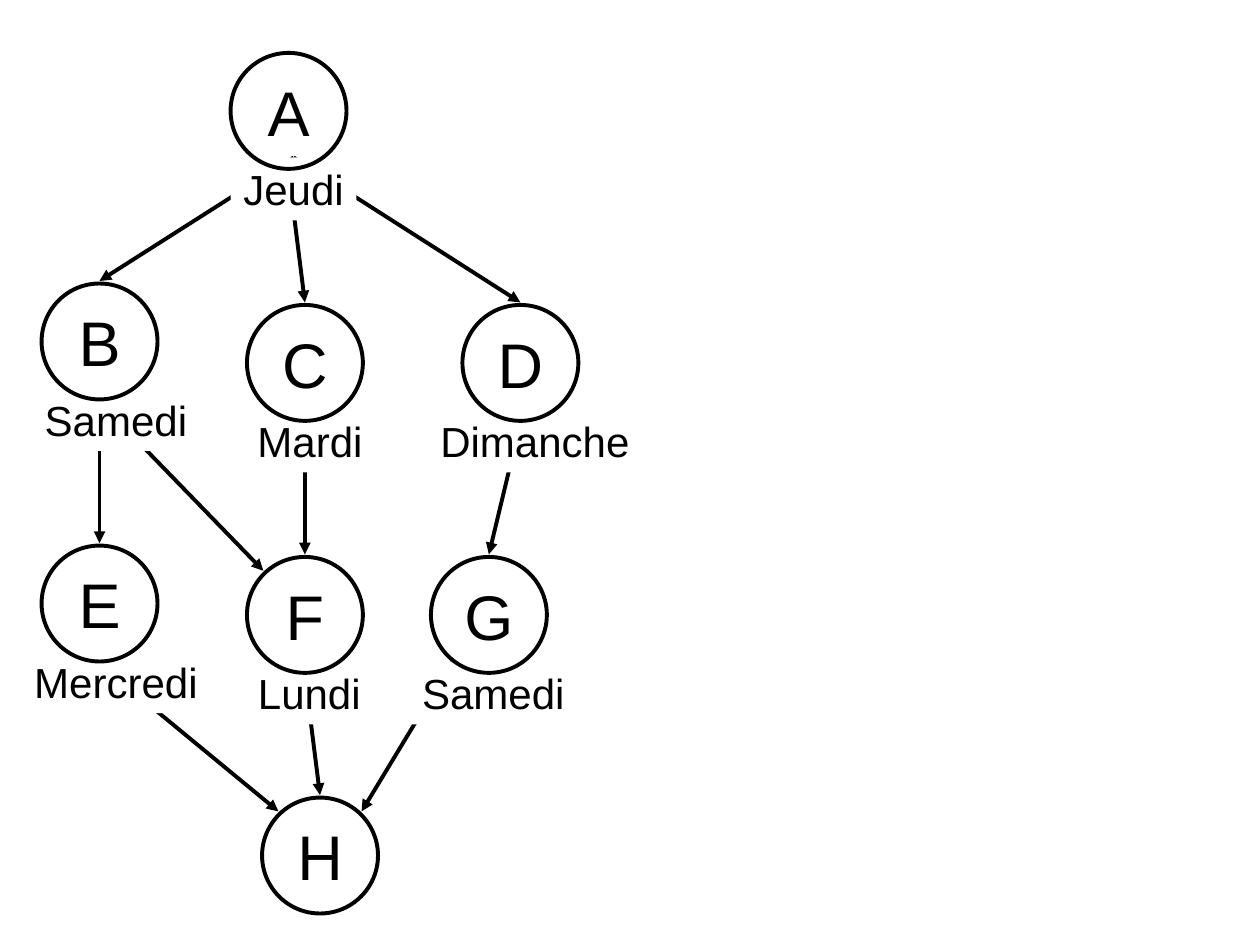
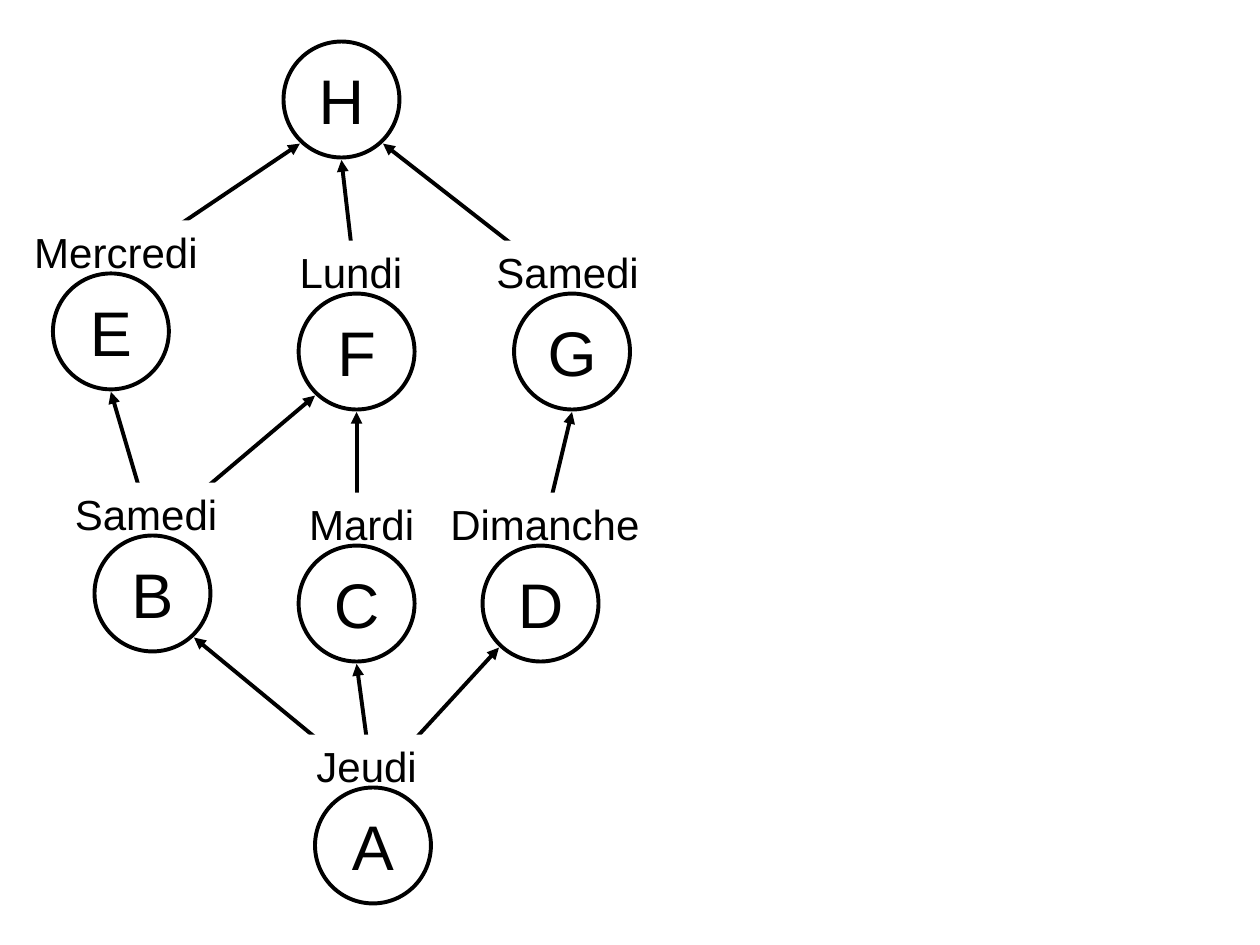
from lxml.etree import SubElement
from pptx import Presentation
from pptx.dml.color import RGBColor
from pptx.enum.shapes import MSO_CONNECTOR, MSO_SHAPE
from pptx.enum.text import MSO_ANCHOR, MSO_AUTO_SIZE, PP_ALIGN
from pptx.oxml.ns import qn
from pptx.util import Inches, Pt

# Shared style
FONT = "Arial"
BLACK, WHITE = "000000", "FFFFFF"
STROKE = 2.25
SIZE = 0.92           # diameter of a node
HALF = SIZE / 2
SLANT = 0.33          # reach of a slanted dock, across and down
GAP = 0.02            # space between an arrow and a node

# Day and label width of each node
DAYS = {
    "A": ("Jeudi", 1), "B": ("Samedi", 1.5), "C": ("Mardi", 1.08),
    "D": ("Dimanche", 1.83), "E": ("Mercredi", 1.5),
    "F": ("Lundi", 1.25), "G": ("Samedi", 1.67),
}

# Each graph: node -> left, top, left of label
DOWN = {
    "A": (1.83, 0.42, 1.83), "B": (0.33, 2.25, 0.17),
    "C": (1.96, 2.42, 1.92), "D": (3.67, 2.42, 3.33),
    "E": (0.33, 4.33, 0.17), "F": (1.96, 4.42, 1.83),
    "G": (3.42, 4.42, 3.08), "H": (2.08, 6.33, None),
}
UP = {
    "A": (2.5, 6.25, 2.41), "B": (0.75, 4.25, 0.41),
    "C": (2.37, 4.33, 2.33), "D": (3.83, 4.33, 3.41),
    "E": (0.42, 2.17, 0.17), "F": (2.37, 2.33, 2.16),
    "G": (4.08, 2.33, 3.67), "H": (2.25, 0.33, None),
}

# Each link: nodes -> side where it lands (-1 left, 0 middle, 1 right)
LINKS = {"AB": 0, "AC": 0, "AD": 0, "BE": 0, "BF": -1, "CF": 0,
         "DG": 0, "EH": -1, "FH": 0, "GH": 1}
# Links of the upward graph that land elsewhere
UP_LINKS = LINKS | {"AB": 1, "AD": -1}
# Links of the downward graph that leave from elsewhere
STARTS = {"AB": (2.33, 1.25), "AD": (2.33, 1.25), "GH": (3.59, 5.25)}


def color(code):
    return RGBColor.from_string(code)


def write(shape, text, size):
    """Put one centred line of text in a shape."""
    shape.shadow.inherit = False
    part = shape.text_frame.paragraphs[0]
    part.text = text
    part.alignment = PP_ALIGN.CENTER
    part.font.name = FONT
    part.font.size = Pt(size)
    part.font.color.rgb = color(BLACK)


def add_node(slide, name, left, top):
    node = slide.shapes.add_shape(
        MSO_SHAPE.OVAL, Inches(left), Inches(top), Inches(SIZE), Inches(SIZE))
    node.fill.background()
    node.line.color.rgb = color(BLACK)
    node.line.width = Pt(STROKE)
    write(node, name, 36)
    node.text_frame.word_wrap = False
    node.text_frame.vertical_anchor = MSO_ANCHOR.MIDDLE


def add_label(slide, text, left, top, width):
    label = slide.shapes.add_shape(
        MSO_SHAPE.RECTANGLE, Inches(left), Inches(top), Inches(width), Inches(0.5))
    label.fill.solid()
    label.fill.fore_color.rgb = color(WHITE)
    label.line.fill.background()
    write(label, text, 24)
    frame = label.text_frame
    frame.word_wrap = True
    frame.vertical_anchor = MSO_ANCHOR.TOP
    frame.auto_size = MSO_AUTO_SIZE.SHAPE_TO_FIT_TEXT


def add_arrow(slide, start, end):
    arrow = slide.shapes.add_connector(
        MSO_CONNECTOR.STRAIGHT, *(Inches(value) for value in (*start, *end)))
    arrow.line.color.rgb = color(BLACK)
    arrow.line.width = Pt(STROKE)
    SubElement(arrow.line._get_or_add_ln(), qn("a:tailEnd"), type="triangle")
    SubElement(arrow._element.spPr, qn("a:effectLst"))


def dock(spot, way, side=0):
    """Point just off a node; way is 1 below it and -1 above it."""
    left, top, _ = spot
    reach = SLANT if side else HALF
    return left + HALF + side * SLANT, top + HALF + way * (reach + GAP)


def add_graph(deck, nodes, links, way, drop, starts):
    """Draw a graph that runs down (way 1) or up (way -1)."""
    slide = deck.slides.add_slide(deck.slide_layouts[6])
    # Arrows lie at the back, so that labels cover their starts
    for pair, side in links.items():
        first, last = pair
        start = starts.get(pair) or dock(nodes[first], way)
        add_arrow(slide, start, dock(nodes[last], -way, side))
    for name, (text, width) in DAYS.items():
        _, top, left = nodes[name]
        add_label(slide, text, left, top + drop, width)
    for name, (left, top, _) in nodes.items():
        add_node(slide, name, left, top)


def main():
    deck = Presentation()
    deck.slide_width, deck.slide_height = Inches(10), Inches(7.5)
    add_graph(deck, DOWN, LINKS, 1, 0.83, STARTS)
    add_graph(deck, UP, UP_LINKS, -1, -0.42, {})
    deck.save("out.pptx")


if __name__ == "__main__":
    main()
